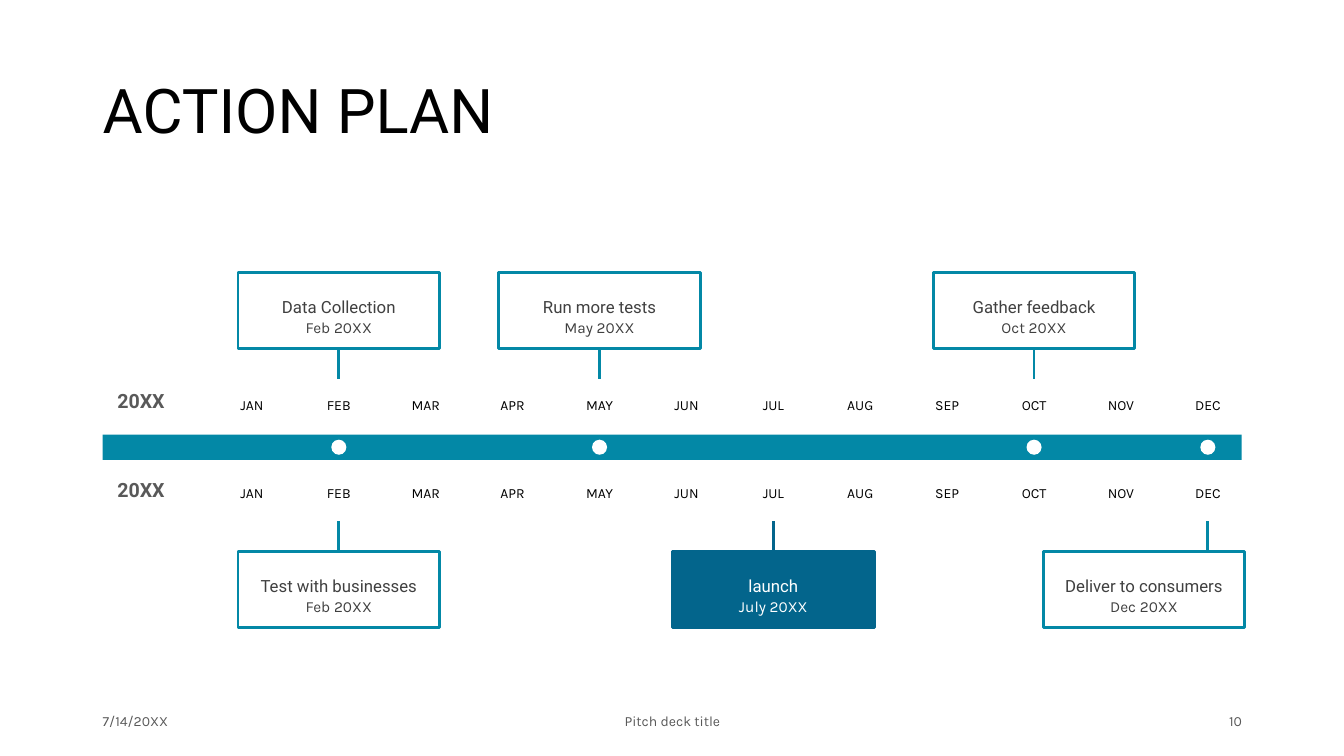
from pptx import Presentation
from pptx.dml.color import RGBColor
from pptx.enum.shapes import MSO_CONNECTOR, MSO_SHAPE
from pptx.enum.text import MSO_ANCHOR, PP_ALIGN
from pptx.oxml.ns import qn
from pptx.util import Cm, Pt
from lxml import etree

TEAL = RGBColor(0x03, 0x88, 0xA6)
NAVY = RGBColor(0x03, 0x65, 0x8C)
WHITE = RGBColor(0xFF, 0xFF, 0xFF)
BLACK = RGBColor(0x00, 0x00, 0x00)
DARK_GREY = RGBColor(0x40, 0x40, 0x40)
GREY = RGBColor(0x59, 0x59, 0x59)

LEFT, CENTER, RIGHT = PP_ALIGN.LEFT, PP_ALIGN.CENTER, PP_ALIGN.RIGHT
TOP, MIDDLE = MSO_ANCHOR.TOP, MSO_ANCHOR.MIDDLE
RECTANGLE, OVAL = MSO_SHAPE.RECTANGLE, MSO_SHAPE.OVAL
STRAIGHT = MSO_CONNECTOR.STRAIGHT

HEADING_FONT, BODY_FONT = "Roboto", "Karla"
DEFAULT_INSETS = (0.25, 0.13, 0.25, 0.13)
NO_INSETS = (0, 0, 0, 0)

MONTHS = ["JAN", "FEB", "MAR", "APR", "MAY", "JUN",
          "JUL", "AUG", "SEP", "OCT", "NOV", "DEC"]
JANUARY_CENTER, MONTH_STEP = 6.35, 2.19
CARD_WIDTH, CARD_HEIGHT, STEM = 5.08, 1.93, 0.76
CARD_RIGHT_LIMIT = 31.37

# Month, title, date
UPPER_MILESTONES = [("FEB", "Data Collection", "Feb 20XX"),
                    ("MAY", "Run more tests", "May 20XX"),
                    ("OCT", "Gather feedback", "Oct 20XX")]
LOWER_MILESTONES = [("FEB", "Test with businesses", "Feb 20XX"),
                    ("JUL", "launch", "July 20XX"),
                    ("DEC", "Deliver to consumers", "Dec 20XX")]
HIGHLIGHTED = "launch"
DOT_MONTHS = ["FEB", "MAY", "OCT", "DEC"]


def month_center(month):
    return JANUARY_CENTER + MONTHS.index(month) * MONTH_STEP


def write(shape, text, size, color, font=BODY_FONT, align=CENTER, anchor=TOP,
          insets=DEFAULT_INSETS, spacing=0.9, before=0, bold=False):
    frame = shape.text_frame
    frame.word_wrap = True
    frame.vertical_anchor = anchor
    (frame.margin_left, frame.margin_top,
     frame.margin_right, frame.margin_bottom) = map(Cm, insets)
    para = frame.paragraphs[0]
    para.alignment = align
    para.line_spacing = spacing
    para.space_before = Pt(before)
    span = para.add_run()
    span.text = text
    span.font.name = font
    span.font.size = Pt(size)
    span.font.bold = bold
    span.font.color.rgb = color


def add_text(page, box, text, size, color, **style):
    write(page.shapes.add_textbox(*map(Cm, box)), text, size, color, **style)


def add_block(page, kind, box, fill=None, line=None):
    shape = page.shapes.add_shape(kind, *map(Cm, box))
    shape.shadow.inherit = False
    if fill is None:
        shape.fill.background()
    else:
        shape.fill.solid()
        shape.fill.fore_color.rgb = fill
    if line is None:
        shape.line.fill.background()
    else:
        shape.line.color.rgb = line
        shape.line.width = Pt(2)
    return shape


def add_stem(page, x, top, color):
    stem = page.shapes.add_connector(STRAIGHT, Cm(x), Cm(top), Cm(x), Cm(top + STEM))
    stem.line.color.rgb = color
    stem.line.width = Pt(2)
    etree.SubElement(stem.element.spPr, qn("a:effectLst"))


def add_bar(page, box):
    left, top, width, height = box
    add_block(page, RECTANGLE, box, fill=TEAL)
    size = 0.38
    for month in DOT_MONTHS:
        dot = (month_center(month) - size / 2, top + (height - size) / 2, size, size)
        add_block(page, OVAL, dot, fill=WHITE)


def add_month_row(page, box):
    left, top, width, height = box
    add_text(page, (left, top, 2.03, height), "20XX", 14, GREY, font=HEADING_FONT,
             anchor=MIDDLE, before=10, bold=True)
    label_width = 1.78
    for month in MONTHS:
        label = (month_center(month) - label_width / 2, top + 0.4, label_width, 0.56)
        add_text(page, label, month, 10, BLACK, before=10)


def add_milestones(page, milestones, top, stem_top):
    for month, title, date in milestones:
        center = month_center(month)
        left = min(center - CARD_WIDTH / 2, CARD_RIGHT_LIMIT - CARD_WIDTH)
        strong = title == HIGHLIGHTED
        fill, line, color = (NAVY, NAVY, WHITE) if strong else (None, TEAL, DARK_GREY)
        add_stem(page, center, stem_top, line)
        card = add_block(page, RECTANGLE, (left, top, CARD_WIDTH, CARD_HEIGHT), fill, line)
        write(card, title, 12, color, font=HEADING_FONT,
              insets=(0, 0.1, 0, 0), spacing=2, before=10)
        add_text(page, (left + 0.19, top + 1.22, CARD_WIDTH - 0.38, 0.64), date, 11, color,
                 insets=NO_INSETS, before=10)


def add_footer(page, box):
    left, top, width, height = box
    side, middle = 7.62, 11.43
    parts = [("7/14/20XX", left, side, LEFT),
             ("Pitch deck title", left + (width - middle) / 2, middle, CENTER),
             ("10", left + width - side, side, RIGHT)]
    for text, x, part_width, align in parts:
        add_text(page, (x, top, part_width, height), text, 10, GREY,
                 align=align, anchor=MIDDLE, spacing=1.0)


def main():
    deck = Presentation()
    deck.slide_width, deck.slide_height = Cm(33.87), Cm(19.05)
    page = deck.slides.add_slide(deck.slide_layouts[6])

    # Title
    add_text(page, (2.34, 1.02, 29.21, 3.68), "ACTION PLAN", 44, BLACK,
             font=HEADING_FONT, align=LEFT, anchor=MIDDLE)

    # Timeline
    add_bar(page, (2.59, 10.95, 28.7, 0.64))
    for top in (9.5, 11.73):
        add_month_row(page, (2.54, top, 28.75, 1.27))

    # Milestones above and below
    upper_top, lower_top = 6.86, 13.89
    add_milestones(page, UPPER_MILESTONES, upper_top, upper_top + CARD_HEIGHT)
    add_milestones(page, LOWER_MILESTONES, lower_top, lower_top - STEM)

    # Footer
    add_footer(page, (2.34, 17.65, 29.21, 1.02))

    deck.save("out.pptx")


if __name__ == "__main__":
    main()
